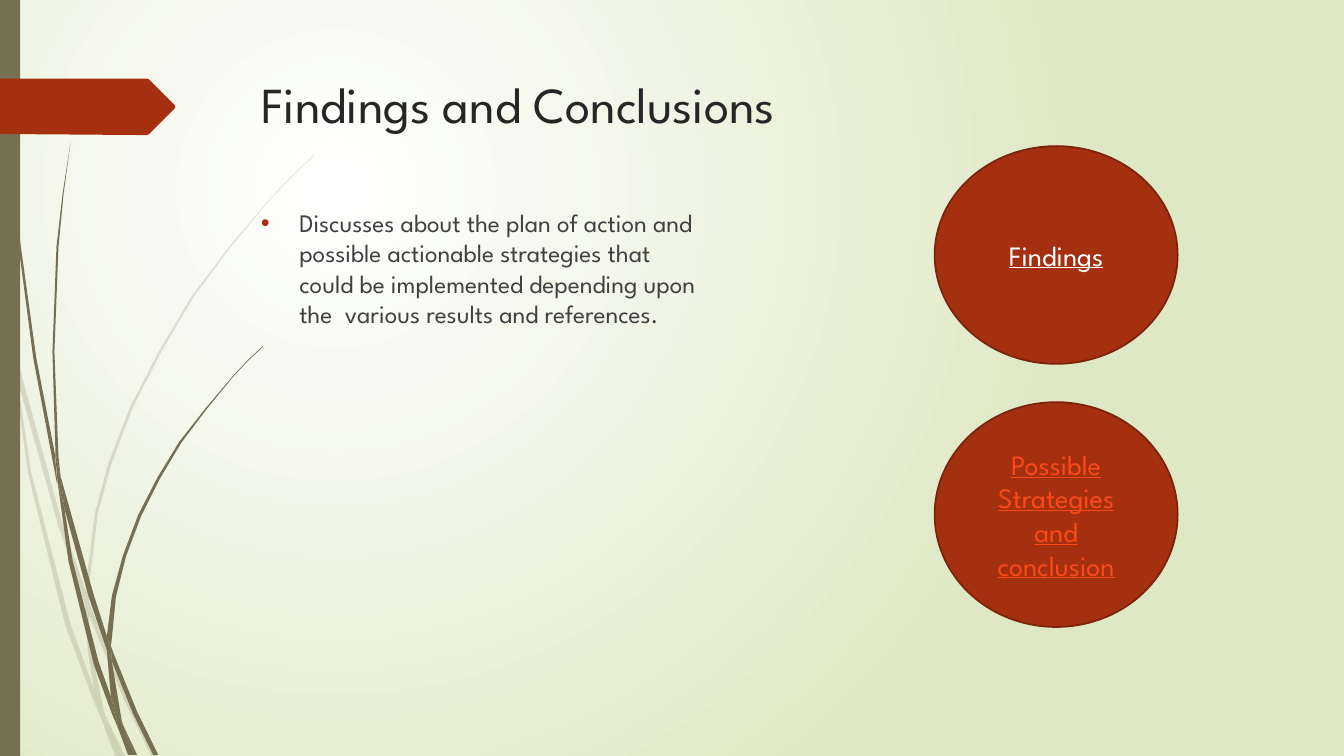
"""Builds the Findings and Conclusions slide with its grass-blade decoration."""
from dataclasses import dataclass

from lxml import etree
from pptx import Presentation
from pptx import util as u
from pptx.dml.color import RGBColor
from pptx.enum import shapes, text
from pptx.oxml import ns

TITLE = "Findings and Conclusions"
BODY = ("Discusses about the plan of action and possible actionable strategies that "
        "could be implemented depending upon the  various results and references.")


@dataclass(frozen=True)
class Theme:
    font: str = "League Spartan"
    title_size: int = 36
    body_size: int = 18
    circle_size: int = 20
    title: str = "262626"
    body: str = "404040"
    accent: str = "A53010"
    accent_edge: str = "7A240C"
    white: str = "FFFFFF"
    link: str = "FB4A18"
    grass: str = "766F54"
    backdrop: str = "DFE8C4"


THEME = Theme()

CIRCLES = [
    ("Possible Strategies and conclusion", 3.99, 2.23, THEME.link),
    ("Findings", 1.45, 2.16, THEME.white),
]

TAG = [(1.73, 1.08), (1.48, 1.33), (1.46, 1.34), (1.36, 1.34), (0, 1.33), (0, 0.78),
       (1.36, 0.78), (1.46, 0.78), (1.48, 0.79), (1.73, 1.04), (1.74, 1.06)]

PALE_GRASS = [
    [(0.11, 3.5), (0.09, 3.22), (0, 2.82), (0, 2.99), (0.1, 3.44)],
    [(0.58, 5.22), (0.84, 5.99), (0.85, 5.86), (0.62, 5.2), (0.14, 3.45), (0.17, 3.76)],
    [(0.92, 6.07), (0.88, 5.96), (0.88, 6.1), (1.23, 6.94), (1.5, 7.5), (1.55, 7.5),
     (1.27, 6.92)],
    [(1.19, 7.5), (1.24, 7.5), (1.05, 7.11)],
    [(0.93, 6.83), (0.7, 6.19), (0.31, 4.69), (0.17, 3.76), (0.11, 3.5), (0.28, 4.7),
     (0.65, 6.21), (0.92, 6.93), (1.01, 7.14), (0.99, 7.07)],
    [(0.84, 5.99), (0.87, 6.46), (0.93, 6.83), (0.96, 6.92), (1.05, 7.11), (1.03, 7.06),
     (0.91, 6.46), (0.88, 6.1), (0.88, 6.08)],
    [(0.88, 5.84), (0.97, 5.1), (1.1, 4.62), (1.31, 4.06), (1.6, 3.49), (1.92, 2.95),
     (2.29, 2.45), (2.68, 1.98), (2.9, 1.75), (3.12, 1.54), (3.12, 1.53), (2.89, 1.75),
     (2.68, 1.97), (2.28, 2.44), (1.9, 2.94), (1.58, 3.48), (1.29, 4.04), (1.07, 4.61),
     (0.94, 5.1), (0.85, 5.84), (0.85, 5.86), (0.88, 5.96)],
    [(1.01, 7.14), (1.14, 7.5), (1.19, 7.5)],
    [(0.88, 6.08), (0.88, 6.1), (0.88, 5.96), (0.85, 5.86), (0.84, 5.99)],
    [(0.96, 6.92), (0.93, 6.83), (0.99, 7.07), (1.01, 7.14), (1.19, 7.5), (1.05, 7.11)],
]
DARK_GRASS = [
    [(0.07, 1.1), (0.17, 2.33), (0.33, 3.55), (0.56, 4.77), (0.57, 4.81), (0.55, 4.57),
     (0.55, 4.53), (0.36, 3.55), (0.19, 2.32), (0.08, 1.09), (0.05, 0.48), (0.04, 0),
     (0.03, 0), (0.04, 0.48)],
    [(0.88, 5.92), (1.06, 6.45), (1.06, 6.33), (1.06, 6.31), (0.93, 5.9), (0.6, 4.72),
     (0.64, 5.05)],
    [(1.13, 6.49), (1.1, 6.41), (1.11, 6.56), (1.32, 7.08), (1.52, 7.49), (1.57, 7.49),
     (1.36, 7.06)],
    [(1.1, 6.91), (0.98, 6.57), (0.72, 5.56), (0.64, 5.05), (0.57, 4.77), (0.68, 5.57),
     (0.93, 6.59), (1.11, 7.08), (1.17, 7.22), (1.16, 7.17)],
    [(0.6, 4.72), (0.58, 4.53), (0.54, 3.49), (0.58, 2.45), (0.63, 1.93), (0.7, 1.41),
     (0.62, 1.93), (0.56, 2.45), (0.52, 3.49), (0.55, 4.49)],
    [(1.33, 7.49), (1.36, 7.49), (1.22, 7.19)],
    [(0.57, 4.77), (0.64, 5.05), (0.6, 4.72), (0.55, 4.49), (0.55, 4.53)],
    [(1.11, 6.33), (1.15, 5.92), (1.25, 5.52), (1.4, 5.12), (1.58, 4.76), (1.8, 4.39),
     (2.05, 4.06), (2.31, 3.74), (2.45, 3.59), (2.61, 3.44), (2.6, 3.44), (2.45, 3.58),
     (2.31, 3.73), (2.04, 4.05), (1.78, 4.38), (1.56, 4.74), (1.37, 5.11), (1.22, 5.51),
     (1.11, 5.91), (1.06, 6.31), (1.1, 6.41)],
    [(1.17, 7.22), (1.27, 7.49), (1.31, 7.49)],
    [(1.06, 6.45), (1.1, 6.91), (1.16, 7.06), (1.22, 7.19), (1.21, 7.16), (1.11, 6.56),
     (1.09, 6.51)],
    [(1.06, 6.45), (1.09, 6.51), (1.11, 6.56), (1.1, 6.41), (1.06, 6.31)],
    [(1.16, 7.06), (1.1, 6.91), (1.16, 7.17), (1.17, 7.22), (1.3, 7.49), (1.33, 7.49),
     (1.22, 7.19)],
]


def write(frame, words, *, size, color, align, anchor, underline=None):
    frame.word_wrap = True
    frame.auto_size = text.MSO_AUTO_SIZE.NONE
    frame.vertical_anchor = anchor
    paragraph = frame.paragraphs[0]
    paragraph.alignment = align
    run = paragraph.add_run()
    run.text = words
    run.font.name = THEME.font
    run.font.size = u.Pt(size)
    run.font.underline = underline
    run.font.color.rgb = RGBColor.from_string(color)
    return paragraph


def paint(shape, color, edge=None, opacity=100):
    shape.shadow.inherit = False
    shape.fill.solid()
    shape.fill.fore_color.rgb = RGBColor.from_string(color)
    if opacity < 100:
        fill_color = shape.element.spPr.find(".//" + ns.qn("a:srgbClr"))
        etree.SubElement(fill_color, ns.qn("a:alpha"), val=str(opacity * 1000))
    if edge:
        shape.line.color.rgb = RGBColor.from_string(edge)
        shape.line.width = u.Pt(1.25)
    else:
        shape.line.fill.background()


def add_preset(slide, kind, left, top, width, height, color, edge=None):
    shape = slide.shapes.add_shape(kind, *map(u.Inches, (left, top, width, height)))
    paint(shape, color, edge)
    return shape


def add_outline(parent, outline, color, opacity=100):
    corners = [(u.Inches(x), u.Inches(y)) for x, y in outline]
    builder = parent.shapes.build_freeform(*corners[0], scale=1.0)
    builder.add_line_segments(corners[1:], close=True)
    paint(builder.convert_to_shape(), color, opacity=opacity)


def add_backdrop(slide):
    fill = slide.background.fill
    fill.gradient()
    for stop, color in zip(fill.gradient_stops, (THEME.white, THEME.backdrop)):
        stop.color.rgb = RGBColor.from_string(color)
    gradient = slide.element.find(".//" + ns.qn("a:gradFill"))
    gradient.remove(gradient.find(ns.qn("a:lin")))
    circle = etree.SubElement(gradient, ns.qn("a:path"), path="circle")
    etree.SubElement(circle, ns.qn("a:fillToRect"),
                     l="50000", t="50000", r="100000", b="100000")


def add_bullet(paragraph):
    paragraph.space_before = u.Pt(10)
    properties = paragraph._p.get_or_add_pPr()
    indent = u.Inches(0.38)
    properties.set("marL", str(indent))
    properties.set("indent", str(-indent))
    color = etree.SubElement(properties, ns.qn("a:buClr"))
    etree.SubElement(color, ns.qn("a:srgbClr"), val=THEME.accent)
    etree.SubElement(properties, ns.qn("a:buFont"), typeface="Arial")
    etree.SubElement(properties, ns.qn("a:buChar"), char="•")


presentation = Presentation()
presentation.slide_width, presentation.slide_height = u.Inches(13.33), u.Inches(7.5)
slide = presentation.slides.add_slide(presentation.slide_layouts[5])
add_backdrop(slide)

for grass, opacity in ((PALE_GRASS, 20), (DARK_GRASS, 100)):
    tuft = slide.shapes.add_group_shape()
    for blade in grass:
        add_outline(tuft, blade, THEME.grass, opacity)
add_preset(slide, shapes.MSO_SHAPE.RECTANGLE, 0, 0, 0.2, 7.5, THEME.grass)
add_outline(slide, TAG, THEME.accent)

title = slide.shapes.title
title.left, title.top = u.Inches(2.49), u.Inches(0.68)
title.width, title.height = u.Inches(10.09), u.Inches(0.77)
write(title.text_frame, TITLE, size=THEME.title_size, color=THEME.title,
      align=text.PP_ALIGN.LEFT, anchor=text.MSO_ANCHOR.TOP)

body = slide.shapes.add_textbox(*map(u.Inches, (2.49, 2.01, 4.54, 4.45)))
add_bullet(write(body.text_frame, BODY, size=THEME.body_size, color=THEME.body,
                 align=text.PP_ALIGN.LEFT, anchor=text.MSO_ANCHOR.TOP))

for label, top, height, color in CIRCLES:
    circle = add_preset(slide, shapes.MSO_SHAPE.OVAL, 9.27, top, 2.41, height,
                        THEME.accent, THEME.accent_edge)
    write(circle.text_frame, label, size=THEME.circle_size, color=color, underline=True,
          align=text.PP_ALIGN.CENTER, anchor=text.MSO_ANCHOR.MIDDLE)

presentation.save("out.pptx")
